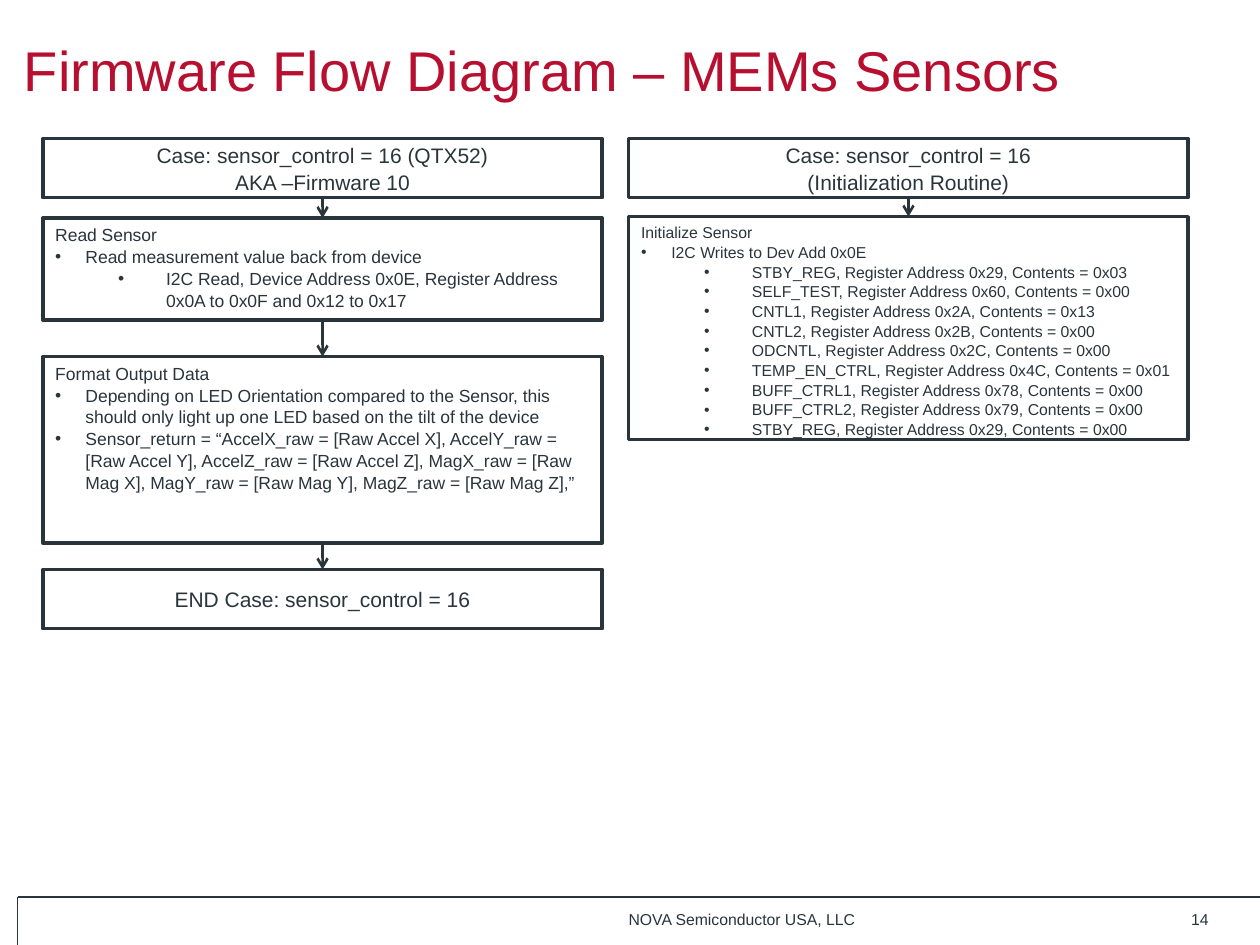
"""Build the firmware flow diagram slide for the MEMs sensors."""
from itertools import pairwise

from lxml import etree
from pptx import Presentation
from pptx.dml.color import RGBColor
from pptx.enum import shapes, text
from pptx.oxml import ns
from pptx.util import Inches, Pt

RED = RGBColor(0xB7, 0x0F, 0x2F)
SLATE = RGBColor(0x29, 0x35, 0x3A)
WHITE = RGBColor(0xFF, 0xFF, 0xFF)
BOX_WIDTH = 4.44
LEFT_COLUMN, RIGHT_COLUMN = 0.34, 4.99
INDENTS = {1: (0.24, 0.24), 2: (0.88, 0.38)}

REGISTERS = [
    ("STBY_REG", "0x29", "0x03"),
    ("SELF_TEST", "0x60", "0x00"),
    ("CNTL1", "0x2A", "0x13"),
    ("CNTL2", "0x2B", "0x00"),
    ("ODCNTL", "0x2C", "0x00"),
    ("TEMP_EN_CTRL", "0x4C", "0x01"),
    ("BUFF_CTRL1", "0x78", "0x00"),
    ("BUFF_CTRL2", "0x79", "0x00"),
    ("STBY_REG", "0x29", "0x00"),
]


class FlowSlide:
    font_name = "Arial"
    line_spacing = 1.04

    def __init__(self, presentation):
        self.slide = presentation.slides.add_slide(presentation.slide_layouts[5])

    def style(self, paragraph, size, color=SLATE, align=text.PP_ALIGN.LEFT):
        paragraph.alignment = align
        paragraph.font.name = self.font_name
        paragraph.font.size = Pt(size)
        paragraph.font.color.rgb = color

    def bullet(self, paragraph, depth):
        margin, hanging = INDENTS[depth]
        paragraph.level = depth - 1
        properties = paragraph._p.get_or_add_pPr()
        properties.set("marL", str(Inches(margin)))
        properties.set("indent", str(-Inches(hanging)))
        etree.SubElement(properties, ns.qn("a:buFont"), typeface=self.font_name)
        etree.SubElement(properties, ns.qn("a:buChar"), char="•")

    def title(self, wording):
        title = self.slide.shapes.title
        title.left, title.top = Inches(0.09), Inches(0)
        title.width, title.height = Inches(8.85), Inches(1.09)
        frame = title.text_frame
        frame.text = wording
        frame.vertical_anchor = text.MSO_ANCHOR.MIDDLE
        self.style(frame.paragraphs[0], 32, RED)

    def label(self, wording, left, width, align=text.PP_ALIGN.LEFT):
        box = self.slide.shapes.add_textbox(
            Inches(left), Inches(7.17), Inches(width), Inches(0.33))
        box.text_frame.word_wrap = True
        box.text_frame.text = wording
        self.style(box.text_frame.paragraphs[0], 9, align=align)

    def box(self, left, top, height):
        shape = self.slide.shapes.add_shape(
            shapes.MSO_SHAPE.RECTANGLE, Inches(left), Inches(top),
            Inches(BOX_WIDTH), Inches(height))
        shape.shadow.inherit = False
        shape.fill.solid()
        shape.fill.fore_color.rgb = WHITE
        shape.line.color.rgb = SLATE
        shape.line.width = Pt(2)
        shape.text_frame.word_wrap = True
        return shape

    def case(self, left, top, *lines):
        shape = self.box(left, top, 0.47)
        frame = shape.text_frame
        frame.vertical_anchor = text.MSO_ANCHOR.MIDDLE
        frame.text = "\n".join(lines)
        for paragraph in frame.paragraphs:
            paragraph.line_spacing = self.line_spacing
            self.style(paragraph, 12, align=text.PP_ALIGN.CENTER)
        return shape

    def step(self, left, top, height, size, heading, items):
        shape = self.box(left, top, height)
        frame = shape.text_frame
        frame.vertical_anchor = text.MSO_ANCHOR.TOP
        frame.text = heading
        for depth, wording in items:
            paragraph = frame.add_paragraph()
            paragraph.text = wording
            paragraph.line_spacing = self.line_spacing
            self.bullet(paragraph, depth)
        for paragraph in frame.paragraphs:
            self.style(paragraph, size)
        return shape

    def line(self, start, end, width):
        connector = self.slide.shapes.add_connector(
            shapes.MSO_CONNECTOR.STRAIGHT, *map(Inches, start + end))
        connector.line.color.rgb = SLATE
        connector.line.width = Pt(width)
        etree.SubElement(connector._element.spPr, ns.qn("a:effectLst"))
        return connector

    def arrow(self, upper, lower):
        connector = self.line((0, 0), (0, 0), 1.5)
        connector.begin_connect(upper, 2)
        connector.end_connect(lower, 0)
        etree.SubElement(connector.line._get_or_add_ln(), ns.qn("a:tailEnd"), type="arrow")

    def chain(self, *boxes):
        for upper, lower in pairwise(boxes):
            self.arrow(upper, lower)


def main():
    presentation = Presentation()
    presentation.slide_width, presentation.slide_height = Inches(10), Inches(7.5)
    flow = FlowSlide(presentation)

    flow.line((0.14, 7.12), (10, 7.12), 0.75)
    flow.line((0.14, 7.12), (0.14, 7.5), 0.75)
    flow.title("Firmware Flow Diagram – MEMs Sensors")
    flow.label("NOVA Semiconductor USA, LLC", 4.89, 2.22)
    flow.label("14", 8.77, 0.92, text.PP_ALIGN.RIGHT)

    flow.chain(
        flow.case(LEFT_COLUMN, 1.1, "Case: sensor_control = 16 (QTX52)", "AKA –Firmware 10"),
        flow.step(LEFT_COLUMN, 1.73, 0.81, 10, "Read Sensor", [
            (1, "Read measurement value back from device"),
            (2, "I2C Read, Device Address 0x0E, Register Address 0x0A to 0x0F and 0x12 to 0x17"),
        ]),
        flow.step(LEFT_COLUMN, 2.83, 1.48, 10, "Format Output Data", [
            (1, "Depending on LED Orientation compared to the Sensor, this should only "
                "light up one LED based on the tilt of the device"),
            (1, "Sensor_return = “AccelX_raw = [Raw Accel X], AccelY_raw = [Raw Accel Y], "
                "AccelZ_raw = [Raw Accel Z], MagX_raw = [Raw Mag X], "
                "MagY_raw = [Raw Mag Y], MagZ_raw = [Raw Mag Z],”"),
        ]),
        flow.case(LEFT_COLUMN, 4.52, "END Case: sensor_control = 16"),
    )

    writes = [(2, f"{name}, Register Address {address}, Contents = {contents}")
              for name, address, contents in REGISTERS]
    flow.chain(
        flow.case(RIGHT_COLUMN, 1.1, "Case: sensor_control = 16", "(Initialization Routine)"),
        flow.step(RIGHT_COLUMN, 1.72, 1.77, 9, "Initialize Sensor",
                  [(1, "I2C Writes to Dev Add 0x0E"), *writes]),
    )
    presentation.save("out.pptx")


if __name__ == "__main__":
    main()
